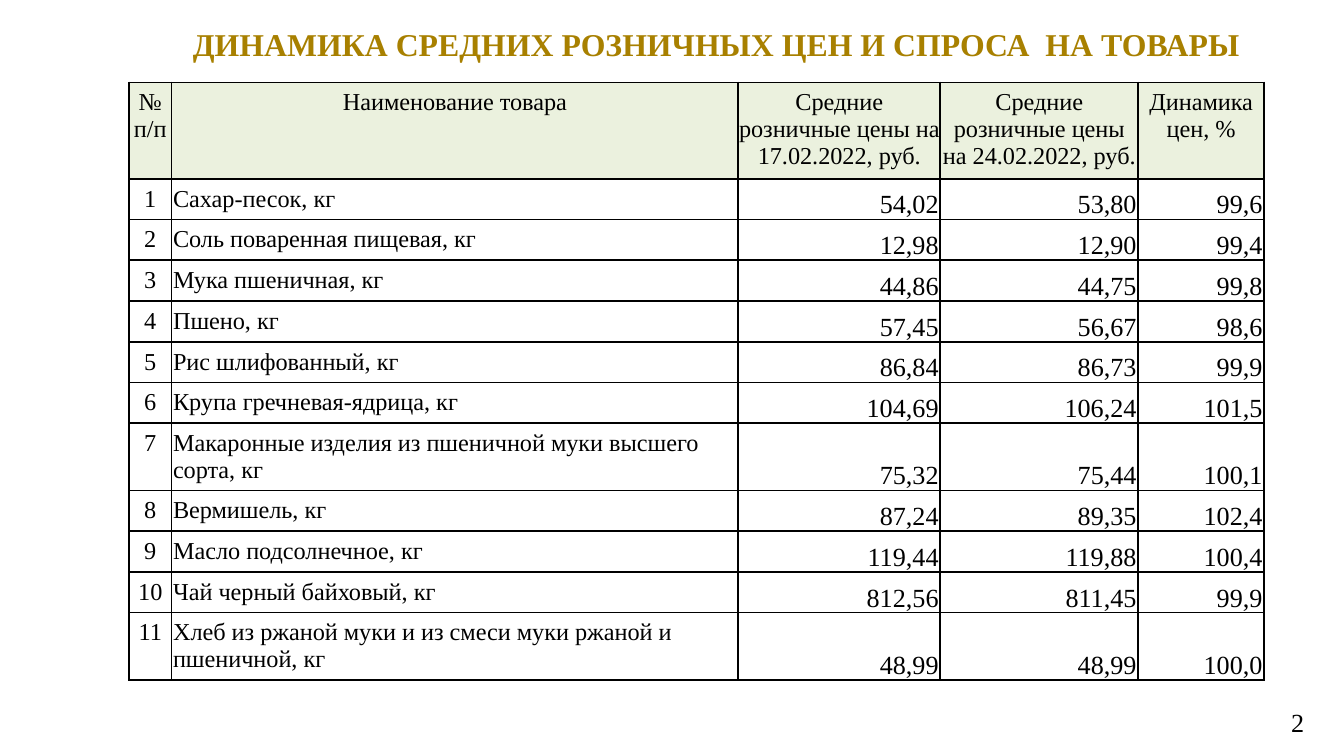
from pptx import Presentation
from pptx.dml.color import RGBColor
from pptx.enum.text import MSO_ANCHOR as ANCHOR, PP_ALIGN as ALIGN
from pptx.oxml import parse_xml
from pptx.oxml.ns import nsdecls
from pptx.util import Cm, Pt

TITLE = "ДИНАМИКА СРЕДНИХ РОЗНИЧНЫХ ЦЕН И СПРОСА  НА ТОВАРЫ"
PAGE = "2"
HEADER = [
    "№ п/п",
    "Наименование товара",
    "Средние розничные цены на 17.02.2022, руб.",
    "Средние розничные цены на 24.02.2022, руб.",
    "Динамика цен, %",
]
GOODS = [
    ("Сахар-песок, кг", "54,02", "53,80", "99,6"),
    ("Соль поваренная пищевая, кг", "12,98", "12,90", "99,4"),
    ("Мука пшеничная, кг", "44,86", "44,75", "99,8"),
    ("Пшено, кг", "57,45", "56,67", "98,6"),
    ("Рис шлифованный, кг", "86,84", "86,73", "99,9"),
    ("Крупа гречневая-ядрица, кг", "104,69", "106,24", "101,5"),
    ("Макаронные изделия из пшеничной муки высшего сорта, кг",
     "75,32", "75,44", "100,1"),
    ("Вермишель, кг", "87,24", "89,35", "102,4"),
    ("Масло подсолнечное, кг", "119,44", "119,88", "100,4"),
    ("Чай черный байховый, кг", "812,56", "811,45", "99,9"),
    ("Хлеб из ржаной муки и из смеси муки ржаной и пшеничной, кг",
     "48,99", "48,99", "100,0"),
]
COLORS = {"title": "A88000", "text": "000000", "head": "EBF1DE",
          "body": "FFFFFF", "border": "000000"}
SIDE_MARGINS = {"head": 0.01, "body": 0.03}
FONT = "Times New Roman"
COL_WIDTHS = [0.8, 10.71, 3.82, 3.74, 2.38]
HEAD_H, ROW_H, TALL_H = 1.82, 0.77, 1.27
LINE_CHARS = 50
BORDER_PT = 0.96


def write(tf, text, size=13, color="text", bold=False, align=ALIGN.LEFT):
    tf.word_wrap = True
    p = tf.paragraphs[0]
    p.alignment = align
    r = p.add_run()
    r.text = text
    r.font.name, r.font.size, r.font.bold = FONT, Pt(size), bold
    r.font.color.rgb = RGBColor.from_string(COLORS[color])


def add_text(slide, box, text, anchor=ANCHOR.TOP, right=0.25, **fmt):
    tf = slide.shapes.add_textbox(*map(Cm, box)).text_frame
    tf.vertical_anchor = anchor
    tf.margin_right = Cm(right)
    write(tf, text, **fmt)


def style_cell(cell, fill, top, bottom, anchor):
    cell.margin_left = cell.margin_right = Cm(SIDE_MARGINS[fill])
    cell.margin_top, cell.margin_bottom = Cm(top), Cm(bottom)
    cell.vertical_anchor = anchor
    tc_pr = cell._tc.get_or_add_tcPr()
    for side in ("lnL", "lnR", "lnT", "lnB"):
        tc_pr.append(parse_xml(
            f'<a:{side} {nsdecls("a")} w="{int(Pt(BORDER_PT))}"><a:solidFill>'
            f'<a:srgbClr val="{COLORS["border"]}"/></a:solidFill></a:{side}>'))
    cell.fill.solid()
    cell.fill.fore_color.rgb = RGBColor.from_string(COLORS[fill])


def add_price_table(slide, left, top):
    rows = [HEADER] + [(str(n), *item) for n, item in enumerate(GOODS, 1)]
    heights = [HEAD_H] + [TALL_H if len(item[0]) > LINE_CHARS else ROW_H
                          for item in GOODS]
    table = slide.shapes.add_table(
        len(rows), len(HEADER), Cm(left), Cm(top),
        Cm(sum(COL_WIDTHS)), Cm(sum(heights))).table
    table.horz_banding = False
    for col, width in zip(table.columns, COL_WIDTHS):
        col.width = Cm(width)
    for i, (values, height) in enumerate(zip(rows, heights)):
        table.rows[i].height = Cm(height)
        for j, text in enumerate(values):
            cell = table.cell(i, j)
            fill = "body" if i else "head"
            if i and j > 1:
                style_cell(cell, fill, 0.02, 0, ANCHOR.BOTTOM)
                write(cell.text_frame, text, size=14, align=ALIGN.RIGHT)
            else:
                style_cell(cell, fill, 0.13, 0.03, ANCHOR.TOP)
                write(cell.text_frame, text,
                      align=ALIGN.LEFT if i and j else ALIGN.CENTER)


prs = Presentation()
prs.slide_width, prs.slide_height = Cm(25.4), Cm(14.29)
s = prs.slides.add_slide(prs.slide_layouts[6])
add_text(s, (2.82, 0.32, 21.89, 1), TITLE, anchor=ANCHOR.MIDDLE, right=0.7,
         size=17, color="title", bold=True, align=ALIGN.CENTER)
add_text(s, (23.7, 13.23, 1.2, 0.7), PAGE, size=14, align=ALIGN.RIGHT)
add_price_table(s, 2.44, 1.56)
prs.save("out.pptx")
